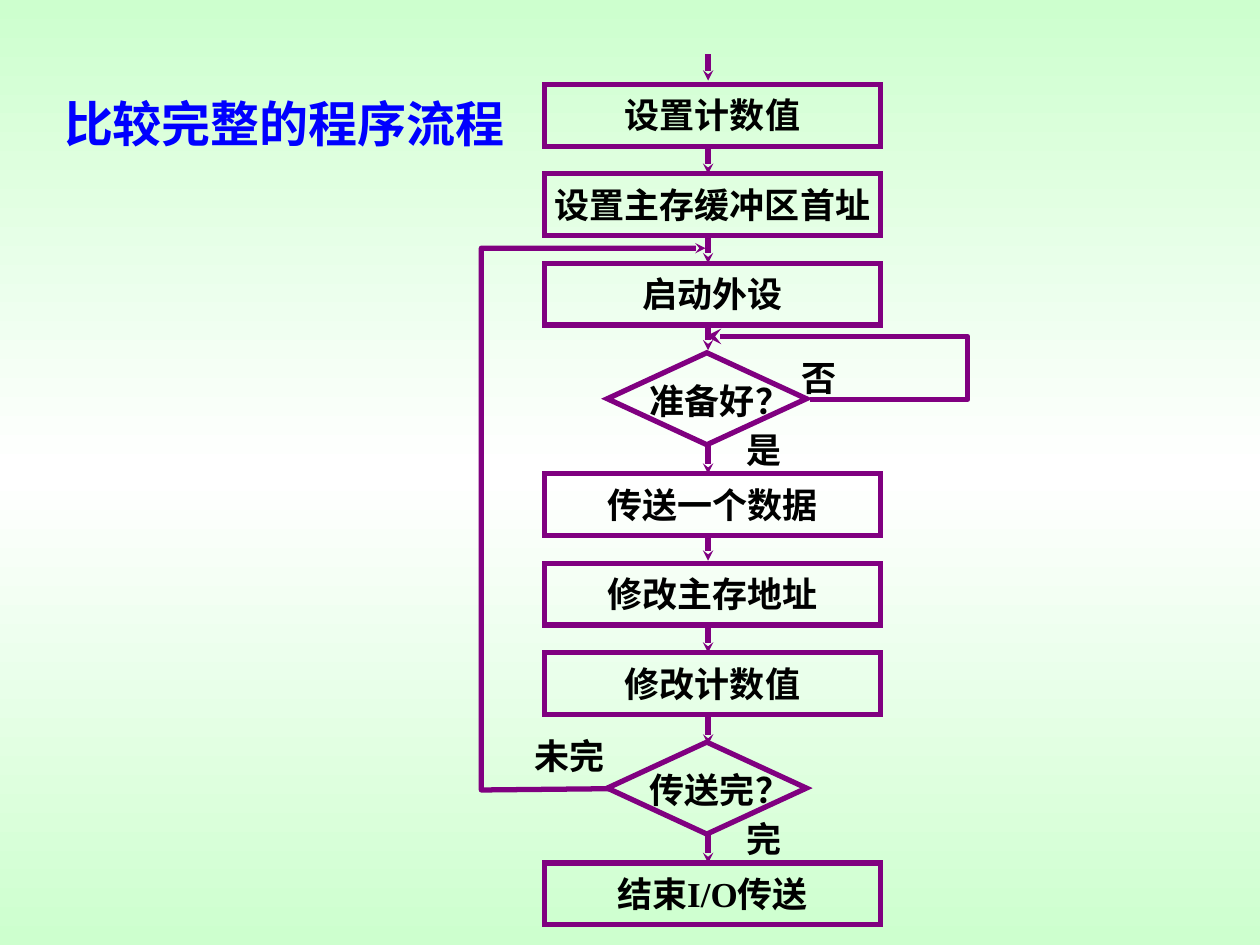
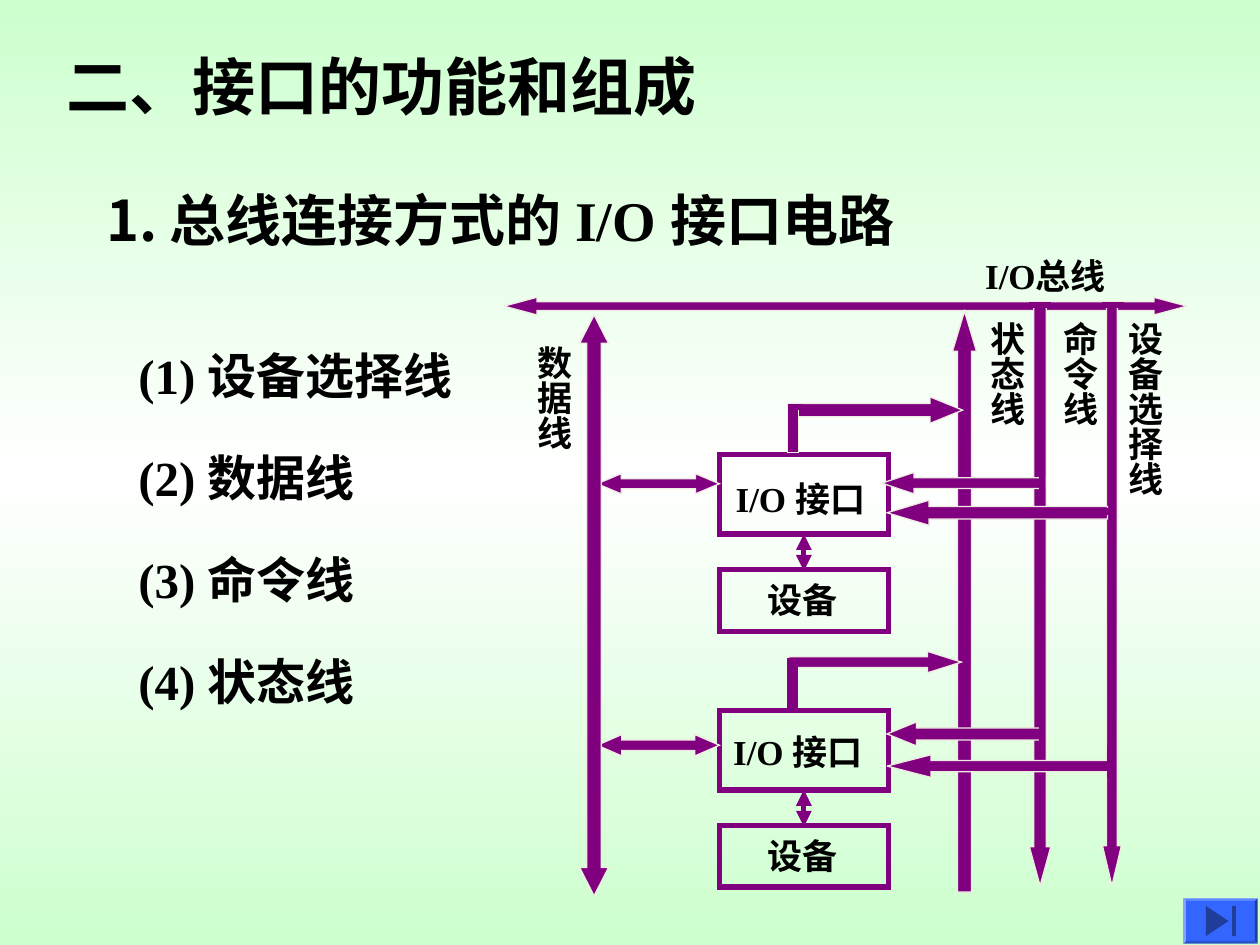
from copy import deepcopy

from lxml.etree import SubElement
from pptx import Presentation
from pptx.dml.color import RGBColor
from pptx.enum.lang import MSO_LANGUAGE_ID as Lang
from pptx.enum.shapes import MSO_CONNECTOR as Wire, MSO_SHAPE as Kind
from pptx.enum.text import MSO_ANCHOR as Anchor, MSO_AUTO_SIZE as Auto, PP_ALIGN as Align
from pptx.oxml.ns import qn
from pptx.util import Inches, Pt

PLUM = "800080"
BLACK = "000000"
BLUE = "0000FF"
SKY = "3366FF"
NAVY = "1F3D99"
SAND = "EEECE1"
GREEN = "CDFFCE"
WHITE = "FFFFFF"
SLACK = 0.06
FONT = {"name": "Times New Roman", "bold": True, "language_id": Lang.SIMPLIFIED_CHINESE}
SIDES = ("margin_left", "margin_top", "margin_right", "margin_bottom")


def paint(color, tone):
    color.rgb = RGBColor.from_string(tone)


def apply(target, values):
    for name, value in values.items():
        setattr(target, name, value)


def set_back(master):
    fill = master.background.fill
    fill.gradient()
    fill.gradient_angle = 270
    stops = master.element.find(".//" + qn("a:gsLst"))
    while len(stops) < 3:
        stops.append(deepcopy(stops[0]))
    for stop, tone, place in zip(fill.gradient_stops, (GREEN, WHITE, GREEN), (0, 0.5, 1)):
        paint(stop.color, tone)
        stop.position = place


def write(shape, text, size=20, tone=BLACK, pads=(0.1, 0.05, 0.1, 0.05), align=None, **frame):
    body = shape.text_frame
    apply(body, {"word_wrap": False, **frame})
    apply(body, dict(zip(SIDES, map(Inches, pads))))
    para = body.paragraphs[0]
    para.alignment = align
    run = para.add_run()
    run.text = text
    apply(run.font, {**FONT, "size": Pt(size)})
    paint(run.font.color, tone)
    return para


def add_text(slide, text, x, y, w, h=0.44, **style):
    box = slide.shapes.add_textbox(*map(Inches, (x, y, w + SLACK, h)))
    return write(box, text, auto_size=Auto.SHAPE_TO_FIT_TEXT, **style)


def add_tall(slide, text, x, y, h):
    box = slide.shapes.add_textbox(*map(Inches, (x, y, 0.53, h + SLACK)))
    write(box, text, pads=(0.05, 0.1, 0.05, 0.1), auto_size=Auto.SHAPE_TO_FIT_TEXT)
    box.text_frame._txBody.bodyPr.set("vert", "eaVert")


def set_line(shape, tone, width):
    paint(shape.line.color, tone)
    shape.line.width = Pt(width)
    return shape.element.find(".//" + qn("a:ln"))


def add_form(slide, kind, x, y, w, h, fill=None, line=PLUM, width=3.0):
    shape = slide.shapes.add_shape(kind, *map(Inches, (x, y, w, h)))
    shape.shadow.inherit = False
    if fill:
        shape.fill.solid()
        paint(shape.fill.fore_color, fill)
    else:
        shape.fill.background()
    if line:
        SubElement(set_line(shape, line, width), qn("a:miter"), lim="800000")
    else:
        shape.line.fill.background()
    return shape


def add_box(slide, text, x, y, w, h):
    box = add_form(slide, Kind.RECTANGLE, x, y, w, h)
    write(box, text, pads=(0.1, 0.04, 0.1, 0.05), align=Align.CENTER,
          vertical_anchor=Anchor.MIDDLE)


def add_arrow(slide, kind, x, y, w, h, *bends):
    arrow = add_form(slide, kind, x, y, w, h, PLUM, SAND, 0.75)
    for spot, bend in enumerate(bends):
        arrow.adjustments[spot] = bend
    return arrow


def add_patch(slide, x, y, w, h, line=PLUM):
    add_form(slide, Kind.RECTANGLE, x, y, w, h, PLUM, line, 0.75)


def set_ends(shape, size="med", **ends):
    line = set_line(shape, PLUM, 3)
    for end, kind in ends.items():
        SubElement(line, qn(f"a:{end}End"), type=kind, w=size, len=size)


def add_line(slide, x, start, stop, **ends):
    line = slide.shapes.add_connector(Wire.STRAIGHT, *map(Inches, (x, start, x, stop)))
    set_ends(line, **ends)
    SubElement(line.element.spPr, qn("a:effectLst"))


def add_loop(slide, size, *points):
    first, *rest = [(Inches(x), Inches(y)) for x, y in points]
    maker = slide.shapes.build_freeform(*first)
    maker.add_line_segments(rest, close=False)
    loop = maker.convert_to_shape()
    loop.shadow.inherit = False
    loop.fill.background()
    set_ends(loop, size, tail="stealth")


def add_test(slide, text, y):
    add_text(slide, text, 5.06, y + 0.16, 1.31)
    add_form(slide, Kind.DIAMOND, 4.82, y, 1.58, 0.73)


def draw_flow(slide):
    add_text(slide, "比较完整的程序流程", 0.41, 0.69, 3.69, 0.57, size=28, tone=BLUE)
    runs = (
        (0.67, ("设置计数值", "设置主存缓冲区首址", "启动外设")),
        (3.76, ("传送一个数据", "修改主存地址", "修改计数值")),
        (6.85, ("结束I/O传送",)),
    )
    for top, steps in runs:
        for row, step in enumerate(steps):
            add_box(slide, step, 4.32, top + 0.71 * row, 2.67, 0.49)
    add_test(slide, "准备好？", 2.8)
    add_test(slide, "传送完？", 5.89)
    for start, stop in ((0.43, 0.64), (1.17, 1.38), (1.89, 2.09), (2.58, 2.78), (3.51, 3.76),
                        (4.24, 4.45), (4.98, 5.18), (5.66, 5.91), (6.6, 6.85)):
        add_line(slide, 5.62, start, stop, size="sm", tail="stealth")
    add_loop(slide, "sm", (4.84, 6.26), (3.82, 6.27), (3.82, 1.97), (5.6, 1.97))
    add_loop(slide, "med", (6.43, 3.17), (7.68, 3.17), (7.68, 2.67), (5.6, 2.67))
    for text, x, y, w in (("未完", 4.14, 5.78, 0.75), ("是", 5.83, 3.35, 0.48),
                          ("完", 5.83, 6.44, 0.48), ("否", 6.26, 2.78, 0.48)):
        add_text(slide, text, x, y, w)


def draw_heads(slide):
    add_text(slide, "二、接口的功能和组成", 0.43, 0.33, 5.2, 0.7, size=36)
    para = add_text(slide, "总线连接方式的 I/O 接口电路", 0.75, 1.42, 6.67, 0.64,
                    size=32, word_wrap=True)
    props = para._p.get_or_add_pPr()
    props.set("marL", str(Inches(0.5)))
    props.set("indent", str(Inches(-0.5)))
    SubElement(props, qn("a:buAutoNum"), type="arabicPeriod")
    wires = ("设备选择线", "数据线", "命令线", "状态线")
    for row, wire in enumerate(wires):
        width = 2.78 if row == 0 else 2.01
        add_text(slide, f"({row + 1}) {wire}", 1, 2.69 + 0.81 * row, width, 0.57, size=28)


def draw_bus(slide):
    add_arrow(slide, Kind.LEFT_RIGHT_ARROW, 4, 2.36, 5.42, 0.14, 0.5, 1.87)
    add_arrow(slide, Kind.UP_ARROW, 7.56, 2.47, 0.19, 4.61, 0.58, 1.67)
    add_arrow(slide, Kind.DOWN_ARROW, 8.17, 2.42, 0.17, 4.61, 0.58, 1.82)
    add_arrow(slide, Kind.DOWN_ARROW, 8.75, 2.42, 0.15, 4.61, 0.58, 2.12)
    for x in (8.17, 8.75):
        add_patch(slide, x, 2.4, 0.17, 0.04)
    add_text(slide, "I/O总线", 7.72, 1.97, 1.22)
    for text, x, y, h in (("数据线", 4.08, 2.64, 1.04), ("状态线", 7.68, 2.45, 1.04),
                          ("命令线", 8.26, 2.45, 1.04), ("设备选择线", 8.77, 2.45, 1.59)):
        add_tall(slide, text, x, y, h)


def draw_port(slide, top, label):
    add_text(slide, "I/O 接口", *label, 1.29)
    add_form(slide, Kind.RECTANGLE, 5.71, top, 1.34, 0.63)
    add_text(slide, "设备", 5.99, top + 0.93, 0.75)
    add_form(slide, Kind.RECTANGLE, 5.71, top + 0.91, 1.34, 0.49)
    add_line(slide, 6.38, top + 0.92, top + 0.63, head="triangle", tail="triangle")


def draw_links(slide):
    links = (
        (Kind.LEFT_ARROW, 7, 3.75, 1.29, 0.17, 1.49),
        (Kind.LEFT_ARROW, 7.04, 3.97, 1.75, 0.2, 1.67),
        (Kind.LEFT_ARROW, 7.04, 5.73, 1.23, 0.19, 1.23),
        (Kind.LEFT_ARROW, 7.04, 5.99, 1.77, 0.18, 1.94),
        (Kind.RIGHT_ARROW, 6.3, 3.15, 1.34, 0.21, 1.23),
        (Kind.RIGHT_ARROW, 6.26, 5.17, 1.37, 0.17, 1.58),
        (Kind.LEFT_RIGHT_ARROW, 4.74, 3.76, 0.97, 0.16, 1.19),
        (Kind.LEFT_RIGHT_ARROW, 4.74, 5.83, 0.97, 0.17, 1.15),
    )
    for kind, x, y, w, h, head in links:
        add_arrow(slide, kind, x, y, w, h, 0.5, head)
    add_patch(slide, 6.25, 3.2, 0.09, 0.39, SAND)
    for patch in ((6.25, 5.23, 0.08, 0.39), (8.25, 3.75, 0.04, 0.17), (8.75, 4.04, 0.08, 0.04),
                  (8.25, 5.67, 0.04, 0.25), (8.79, 5.92, 0.04, 0.25), (6.33, 3.21, 0.04, 0.04)):
        add_patch(slide, *patch)
    data = add_arrow(slide, Kind.LEFT_RIGHT_ARROW, 2.41, 4.69, 4.61, 0.23, 0.5, 0.98)
    data.rotation = 90


def draw_button(slide):
    base = add_form(slide, Kind.BEVEL, 9.39, 7.13, 0.59, 0.36, SKY, None)
    base.adjustments[0] = 0.06
    play = add_form(slide, Kind.ISOSCELES_TRIANGLE, 9.54, 7.22, 0.24, 0.18, NAVY, None)
    play.rotation = 90
    add_form(slide, Kind.RECTANGLE, 9.78, 7.19, 0.03, 0.24, NAVY, None)


def main():
    deck = Presentation()
    deck.slide_width, deck.slide_height = Inches(10), Inches(7.5)
    set_back(deck.slide_master)
    blank = deck.slide_layouts[6]
    draw_flow(deck.slides.add_slide(blank))
    slide = deck.slides.add_slide(blank)
    draw_heads(slide)
    draw_bus(slide)
    draw_port(slide, 3.61, (5.74, 3.74))
    draw_port(slide, 5.64, (5.72, 5.75))
    draw_links(slide)
    draw_button(slide)
    deck.save("out.pptx")


if __name__ == "__main__":
    main()
